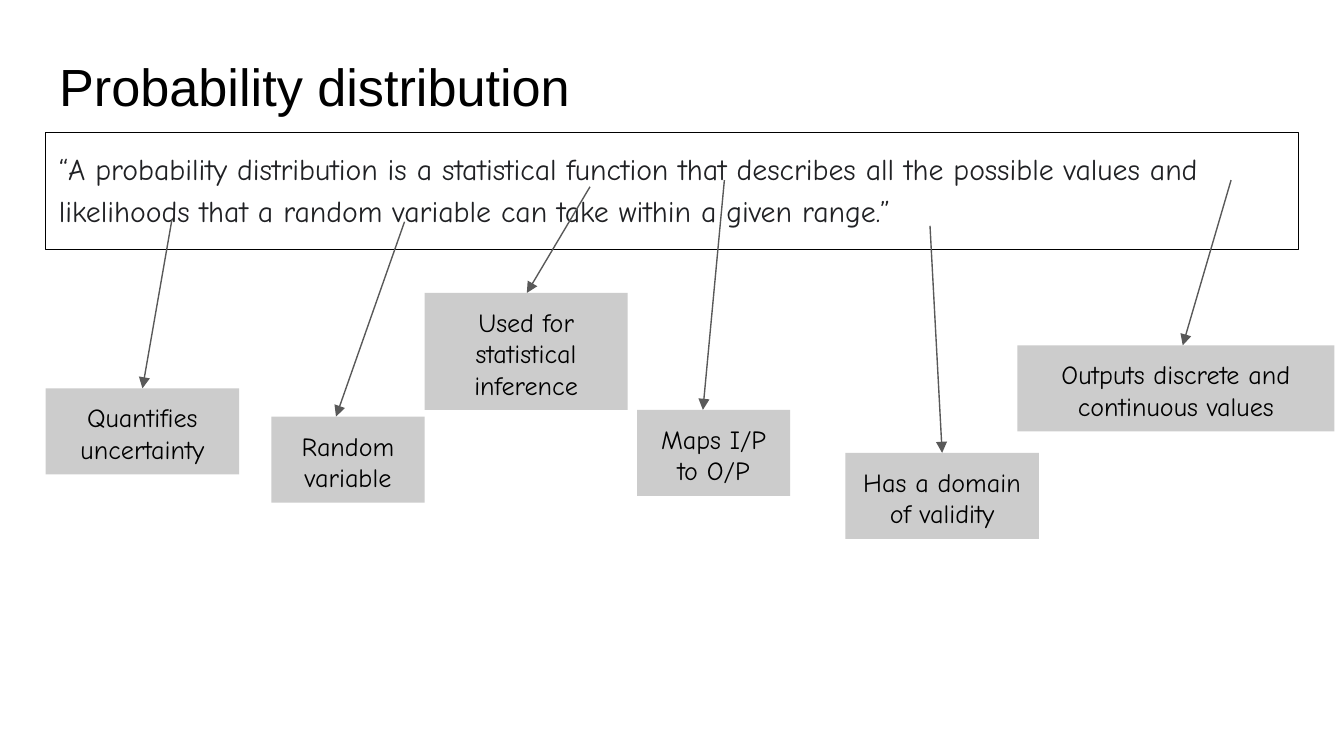
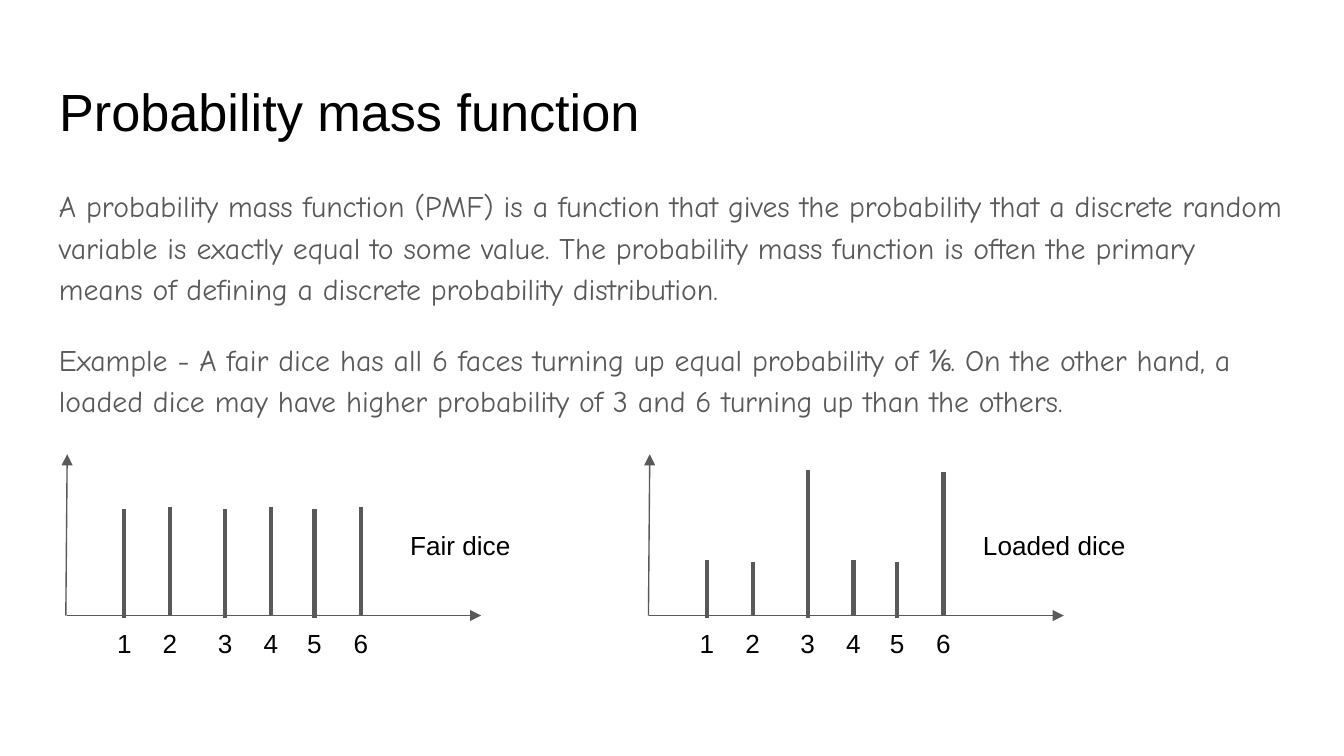
from dataclasses import dataclass

from lxml.etree import SubElement
from pptx import Presentation
from pptx.dml.color import RGBColor as RGB
from pptx.enum.shapes import MSO_CONNECTOR as CONN, MSO_SHAPE as SHAPE
from pptx.enum.text import MSO_ANCHOR as ANCHOR, MSO_AUTO_SIZE as AUTO, PP_ALIGN as ALIGN
from pptx.oxml.ns import qn
from pptx.util import Emu, Pt

COLORS = {
    "black": "000000",
    "ink": "202124",
    "gray": "595959",
    "box": "CCCCCC",
}
SANS = "Arial"
HAND = "Comic Neue"
EMU_PER_PX = 4572
SLIDE_WIDTH, SLIDE_HEIGHT = 2000, 1125
LEFT, WIDTH, INSET = 68, 1864, 20
AXIS_Y, AXIS_TOP, AXIS_LENGTH = 916, 676, 617
BAR_OFFSETS = (86, 154, 236, 304, 369, 438)
DIGIT_WIDTH = 80


@dataclass(frozen=True)
class Callout:
    text: str
    left: int
    top: int
    width: int
    height: int
    start: tuple[int, int]
    tip_x: int


@dataclass(frozen=True)
class Plot:
    label: str
    label_left: int
    origin: int
    bar_tops: tuple[int, ...]


CALLOUTS = (
    Callout("Used for statistical inference", 632, 436, 302, 174, (878, 278), 784),
    Callout("Outputs discrete and continuous values", 1514, 514, 472, 128, (1832, 268), 1760),
    Callout("Maps I/P to O/P", 948, 610, 228, 128, (1078, 268), 1046),
    Callout("Quantifies uncertainty", 68, 578, 288, 128, (256, 326), 212),
    Callout("Random variable", 404, 620, 228, 128, (602, 330), 500),
    Callout("Has a domain of validity", 1258, 674, 288, 128, (1384, 336), 1402),
)
PLOTS = (
    Plot("Fair dice", 554, 99, (757, 754) * 3),
    Plot("Loaded dice", 1438, 966, (834, 836, 700, 834, 836, 702)),
)
DEFINITION = (
    "“A probability distribution is a statistical function that describes all the "
    "possible values and likelihoods that a random variable can take within a given range.”"
)
PMF_TEXT = (
    "A probability mass function (PMF) is a function that gives the probability that a "
    "discrete random variable is exactly equal to some value. The probability mass function "
    "is often the primary means of defining a discrete probability distribution.",
    "Example - A fair dice has all 6 faces turning up equal probability of ⅙. On the other "
    "hand, a loaded dice may have higher probability of 3 and 6 turning up than the others.",
)


def px(n: int) -> Emu:
    return Emu(n * EMU_PER_PX)


def color(name: str) -> RGB:
    return RGB.from_string(COLORS[name])


def write(sp, paragraphs: tuple[str, ...], size: int, font: str, ink: str,
          align=ALIGN.LEFT, spacing: float = 1.0, gap: int = 0) -> None:
    tf = sp.text_frame
    tf.word_wrap = True
    tf.auto_size = AUTO.NONE
    tf.vertical_anchor = ANCHOR.TOP
    tf.margin_left = tf.margin_right = tf.margin_top = tf.margin_bottom = px(INSET)
    tf.text = "\n".join(paragraphs)
    for i, p in enumerate(tf.paragraphs):
        p.alignment = align
        p.line_spacing = spacing
        p.space_before = Pt(gap if i else 0)
        for r in p.runs:
            r.font.size = Pt(size)
            r.font.name = font
            r.font.color.rgb = color(ink)


def add_slide(prs, title: str, top: int):
    s = prs.slides.add_slide(prs.slide_layouts[5])
    sp = s.shapes.title
    sp.left, sp.top, sp.width, sp.height = map(px, (LEFT, top, WIDTH, 126))
    write(sp, (title,), 28, SANS, "black")
    return s


def add_text(s, text: str, left: int, top: int, width: int, height: int) -> None:
    sp = s.shapes.add_textbox(px(left), px(top), px(width), px(height))
    write(sp, (text,), 14, SANS, "black", ALIGN.CENTER)


def add_rect(s, left: int, top: int, width: int, height: int):
    sp = s.shapes.add_shape(SHAPE.RECTANGLE, px(left), px(top), px(width), px(height))
    sp.shadow.inherit = False
    return sp


def add_line(s, start: tuple[int, int], end: tuple[int, int],
             weight: float = 0.75, arrow: bool = False) -> None:
    cx = s.shapes.add_connector(CONN.STRAIGHT, *map(px, start + end))
    cx.line.color.rgb = color("gray")
    cx.line.width = Pt(weight)
    props = cx._element.spPr
    if arrow:
        SubElement(props.find(qn("a:ln")), qn("a:tailEnd"), type="triangle")
    SubElement(props, qn("a:effectLst"))


def add_callout(s, c: Callout) -> None:
    sp = add_rect(s, c.left, c.top, c.width, c.height)
    sp.fill.solid()
    sp.fill.fore_color.rgb = color("box")
    sp.line.fill.background()
    write(sp, (c.text,), 14, HAND, "black", ALIGN.CENTER)


def add_plot(s, plot: Plot) -> None:
    x = plot.origin
    add_line(s, (x - 1, AXIS_Y), (x + 1, AXIS_TOP), arrow=True)
    add_line(s, (x, AXIS_Y), (x + AXIS_LENGTH, AXIS_Y), arrow=True)
    for face, (offset, top) in enumerate(zip(BAR_OFFSETS, plot.bar_tops), 1):
        bar_x = x + offset
        base = AXIS_Y + 4 * (face % 2)
        add_line(s, (bar_x, base), (bar_x, top), weight=2.25)
        add_text(s, str(face), bar_x - DIGIT_WIDTH // 2, AXIS_Y - 2, DIGIT_WIDTH, 64)
    add_text(s, plot.label, plot.label_left, 768, 262, 80)


def build_distribution(prs) -> None:
    s = add_slide(prs, "Probability distribution", 60)
    sp = add_rect(s, LEFT, 197, WIDTH, 174)
    sp.fill.background()
    sp.line.color.rgb = color("black")
    sp.line.width = Pt(0.75)
    write(sp, (DEFINITION,), 16, HAND, "ink", spacing=1.15)
    for c in CALLOUTS:
        add_line(s, c.start, (c.tip_x, c.top), arrow=True)
    for c in sorted(CALLOUTS, key=lambda c: c.left):
        add_callout(s, c)


def build_mass_function(prs) -> None:
    s = add_slide(prs, "Probability mass function", 98)
    sp = s.shapes.add_textbox(px(LEFT), px(252), px(WIDTH), px(380))
    write(sp, PMF_TEXT, 16, HAND, "gray", spacing=1.15, gap=16)
    for plot in PLOTS:
        add_plot(s, plot)


def main() -> None:
    prs = Presentation()
    prs.slide_width, prs.slide_height = px(SLIDE_WIDTH), px(SLIDE_HEIGHT)
    build_distribution(prs)
    build_mass_function(prs)
    prs.save("out.pptx")


if __name__ == "__main__":
    main()
